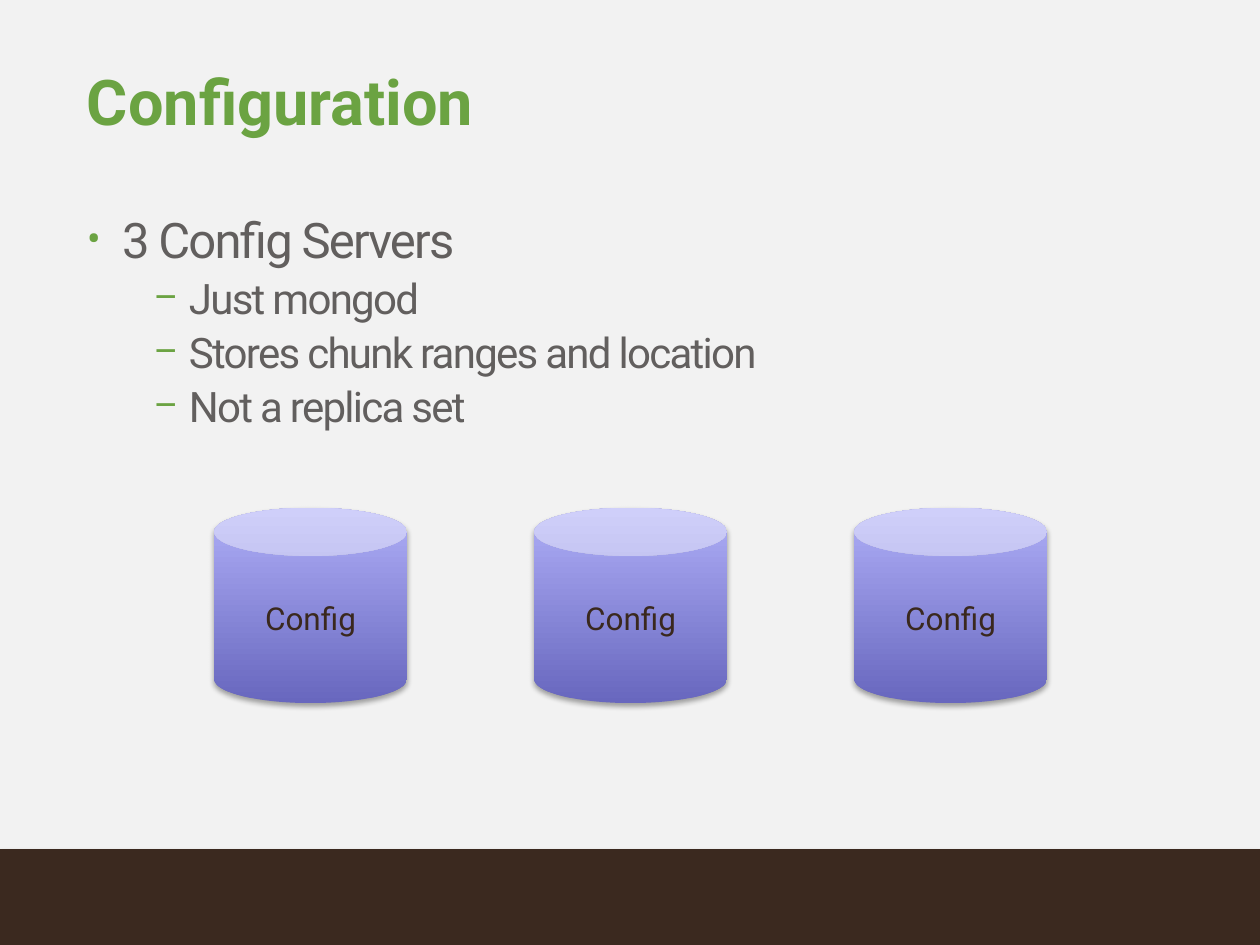
from dataclasses import dataclass
from lxml.etree import SubElement
from pptx import Presentation
from pptx.dml.color import RGBColor
from pptx.enum.shapes import MSO_SHAPE
from pptx.enum.text import MSO_ANCHOR, MSO_AUTO_SIZE, PP_ALIGN
from pptx.oxml.ns import qn
from pptx.util import Inches, Pt


@dataclass(frozen=True)
class Theme:
    font: str = "Roboto"
    background: str = "F2F2F2"
    band: str = "3B291F"
    accent: str = "6BA342"
    body: str = "625F5E"
    label: str = "3A281E"
    can_dark: str = "6867BE"
    can_light: str = "AFAFF8"
    shadow: str = "000000"
    title_size: int = 36
    bullet_size: int = 28
    sub_size: int = 24
    label_size: int = 18


BULLETS = [
    {"char": "•", "scale": 85, "left": 0.28, "size": Theme.bullet_size,
     "format": {"line_spacing": Pt(35.4)}},
    {"char": "–", "scale": 90, "left": 0.81, "size": Theme.sub_size,
     "format": {"level": 1, "space_before": Pt(2)}},
]


def apply(obj, values):
    for name, value in values.items():
        setattr(obj, name, value)


def add_xml(parent, tag, **attrs):
    return SubElement(parent, qn(tag), attrs)


class SlideBuilder:
    def __init__(self, prs, theme):
        self.theme = theme
        self.slide = prs.slides.add_slide(prs.slide_layouts[5])
        fill = self.slide.background.fill
        fill.solid()
        fill.fore_color.rgb = RGBColor.from_string(theme.background)

    def frame(self, tf, anchor, inset=0.0):
        apply(tf, {"word_wrap": True, "auto_size": MSO_AUTO_SIZE.NONE,
                   "vertical_anchor": anchor, "margin_left": Inches(inset),
                   "margin_right": Inches(inset), "margin_top": Inches(inset / 2),
                   "margin_bottom": Inches(inset / 2)})

    def run(self, p, text, size, color, bold=False):
        r = p.add_run()
        r.text = text
        apply(r.font, {"name": self.theme.font, "size": Pt(size), "bold": bold})
        r.font.color.rgb = RGBColor.from_string(color)
        return r

    def shape(self, kind, box):
        sp = self.slide.shapes.add_shape(kind, *map(Inches, box))
        sp.line.fill.background()
        return sp

    def shadow(self, sp):
        sp.shadow.inherit = False
        effects = sp._element.spPr.find(qn("a:effectLst"))
        outer = add_xml(effects, "a:outerShdw", blurRad=str(Pt(3.1)), dist=str(Pt(1.8)),
                        dir="5400000", rotWithShape="0")
        color = add_xml(outer, "a:srgbClr", val=self.theme.shadow)
        add_xml(color, "a:alpha", val="35000")

    def band(self, box):
        sp = self.shape(MSO_SHAPE.RECTANGLE, box)
        sp.fill.solid()
        sp.fill.fore_color.rgb = RGBColor.from_string(self.theme.band)
        self.shadow(sp)

    def title(self, text, box):
        sp = self.slide.shapes.title
        apply(sp, dict(zip(("left", "top", "width", "height"), map(Inches, box))))
        self.frame(sp.text_frame, MSO_ANCHOR.MIDDLE)
        p = sp.text_frame.paragraphs[0]
        apply(p, {"alignment": PP_ALIGN.LEFT, "line_spacing": 0.9})
        self.run(p, text, self.theme.title_size, self.theme.accent, bold=True)

    def bullets(self, items, box):
        tf = self.slide.shapes.add_textbox(*map(Inches, box)).text_frame
        self.frame(tf, MSO_ANCHOR.TOP)
        for i, (level, text) in enumerate(items):
            p = tf.add_paragraph() if i else tf.paragraphs[0]
            style = BULLETS[level]
            pPr = p._p.get_or_add_pPr()
            apply_indent = {"marL": Inches(style["left"]), "indent": Inches(-0.28)}
            for name, value in apply_indent.items():
                pPr.set(name, str(value))
            color = add_xml(pPr, "a:buClr")
            add_xml(color, "a:srgbClr", val=self.theme.accent)
            add_xml(pPr, "a:buSzPct", val=str(style["scale"] * 1000))
            add_xml(pPr, "a:buFont", typeface=self.theme.font)
            add_xml(pPr, "a:buChar", char=style["char"])
            apply(p, style["format"])
            r = self.run(p, text, style["size"], self.theme.body)
            r._r.get_or_add_rPr().set("spc", "-100")

    def can(self, text, box):
        sp = self.shape(MSO_SHAPE.CAN, box)
        sp.fill.gradient()
        sp.fill.gradient_angle = 90
        colors = (self.theme.can_dark, self.theme.can_light)
        for stop, color, position in zip(sp.fill.gradient_stops, colors, (0, 1)):
            stop.color.rgb = RGBColor.from_string(color)
            stop.position = position
        self.shadow(sp)
        self.frame(sp.text_frame, MSO_ANCHOR.MIDDLE, inset=0.1)
        p = sp.text_frame.paragraphs[0]
        p.alignment = PP_ALIGN.CENTER
        self.run(p, text, self.theme.label_size, self.theme.label)


def main():
    prs = Presentation()
    apply(prs, {"slide_width": Inches(10), "slide_height": Inches(7.5)})
    s = SlideBuilder(prs, Theme())
    s.band((0, 6.74, 10, 0.76))
    s.title("Configuration", (0.69, 0.37, 8.64, 0.93))
    s.bullets([
        (0, "3 Config Servers"),
        (1, "Just mongod"),
        (1, "Stores chunk ranges and location"),
        (1, "Not a replica set"),
    ], (0.69, 1.64, 8.64, 4.78))
    for i in range(3):
        s.can("Config", (1.7 + i * 2.54, 4.03, 1.53, 1.55))
    prs.save("out.pptx")


if __name__ == "__main__":
    main()
